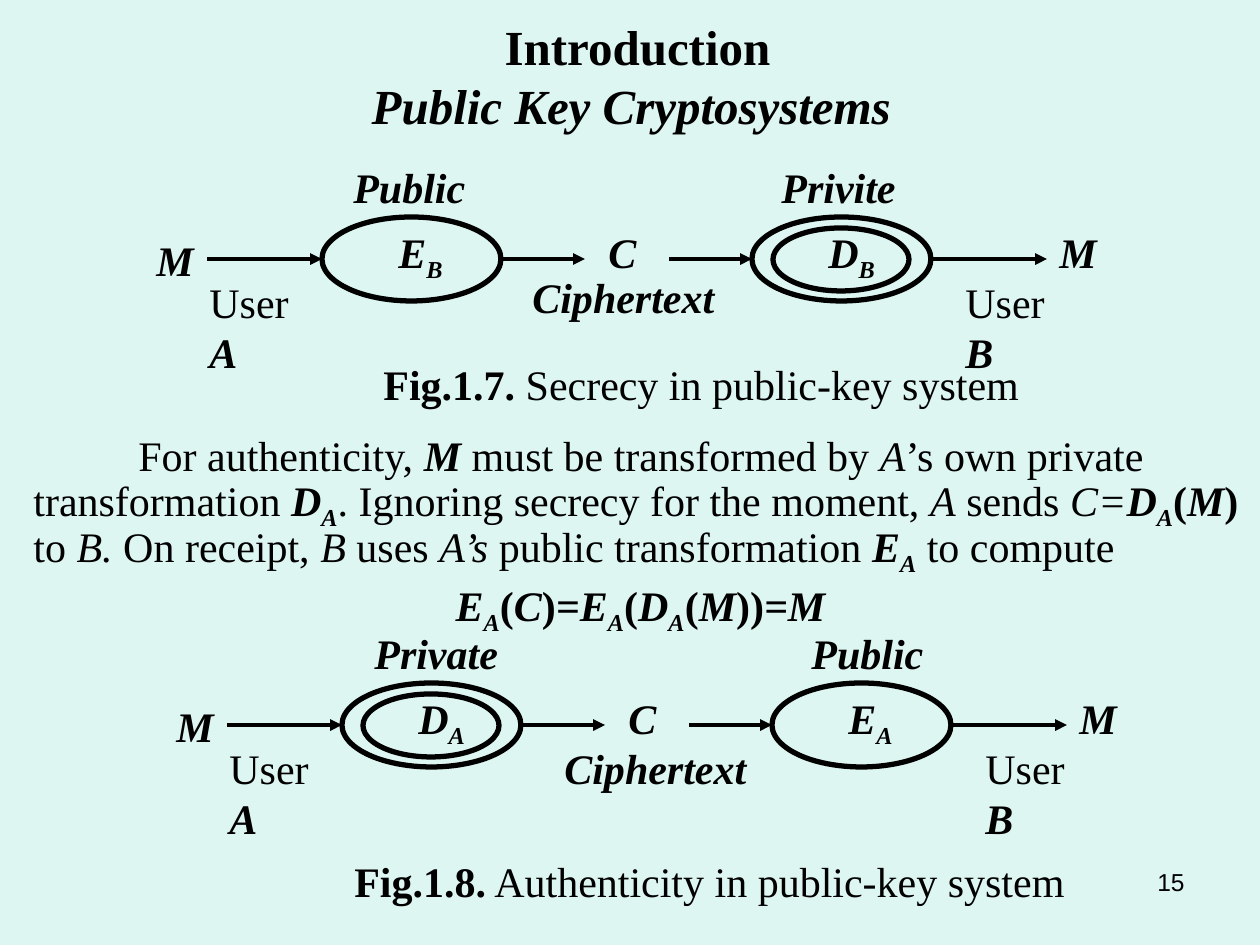
from lxml import etree
from pptx import Presentation
from pptx.dml.color import RGBColor
from pptx.enum.shapes import MSO_CONNECTOR, MSO_SHAPE
from pptx.enum.text import MSO_AUTO_SIZE, PP_ALIGN
from pptx.oxml.ns import qn
from pptx.util import Emu, Pt

OVAL = MSO_SHAPE.OVAL
STRAIGHT = MSO_CONNECTOR.STRAIGHT
GROW = MSO_AUTO_SIZE.SHAPE_TO_FIT_TEXT
FIXED = MSO_AUTO_SIZE.NONE
LEFT, CENTER, RIGHT = PP_ALIGN.LEFT, PP_ALIGN.CENTER, PP_ALIGN.RIGHT
PX_PER_INCH = 126


def px(n):
    return Emu(round(n * 914400 / PX_PER_INCH))


def color(hex_string):
    return RGBColor.from_string(hex_string)


class Canvas:
    """Style and current slide; x and y are relative to the current origin."""
    ink = "000000"
    paper = "DEF6F1"
    font = "Times New Roman"
    size = 24

    def __init__(self, slide):
        self.slide = slide
        self.shapes = slide.shapes
        self.dx = self.dy = 0
        fill = slide.background.fill
        fill.solid()
        fill.fore_color.rgb = color(self.paper)

    def start_group(self, dx, dy):
        self.shapes = self.slide.shapes.add_group_shape().shapes
        self.dx, self.dy = dx, dy

    def end_group(self):
        self.shapes = self.slide.shapes
        self.dx = self.dy = 0

    def ellipse(self, x, y, w, h):
        sp = self.shapes.add_shape(OVAL, px(x + self.dx), px(y + self.dy), px(w), px(h))
        sp.shadow.inherit = False
        sp.fill.background()
        sp.line.color.rgb = color(self.ink)
        sp.line.width = Pt(3)

    def arrow(self, x1, x2, y):
        y += self.dy
        cxn = self.shapes.add_connector(
            STRAIGHT, px(x1 + self.dx), px(y), px(x2 + self.dx), px(y))
        cxn.line.color.rgb = color(self.ink)
        cxn.line.width = Pt(2.25)
        etree.SubElement(cxn.line._get_or_add_ln(), qn("a:tailEnd"), type="triangle")
        etree.SubElement(cxn._element.spPr, qn("a:effectLst"))

    def text(self, x, y, w, h, *paragraphs, wrap=True, align=LEFT, spacing=None,
             before=0, size=None, font=None, fit=GROW):
        """Each paragraph is a list of (text, style): b bold, i italic, _ subscript."""
        sp = self.shapes.add_textbox(px(x + self.dx), px(y + self.dy), px(w), px(h))
        tf = sp.text_frame
        tf.word_wrap = wrap
        tf.auto_size = fit
        for i, runs in enumerate(paragraphs):
            p = tf.add_paragraph() if i else tf.paragraphs[0]
            p.alignment = align
            p.space_before = Pt(before)
            if spacing:
                p.line_spacing = spacing
            for words, style in runs:
                r = p.add_run()
                r.text = words
                r.font.name = font or self.font
                r.font.size = Pt(size or self.size)
                r.font.color.rgb = color(self.ink)
                r.font.bold = "b" in style
                r.font.italic = "i" in style
                if "_" in style:
                    r._r.get_or_add_rPr().set("baseline", "-25000")
        return tf

    def label(self, x, y, w, words, wrap=True):
        self.text(x, y, w, 63, [(words, "bi")], wrap=wrap)

    def caption(self, x, y, w, number, words):
        self.text(x, y, w, 50, [(number, "b"), (words, "")], wrap=False, spacing=0.75)

    def transformation(self, x, name, user, private):
        self.ellipse(x, 217, 179, 84)
        if private:
            self.ellipse(x + 21, 228, 136, 63)
        self.text(x + 64, 220, 78, 70, symbol(name, user), wrap=False)

    def cryptosystem(self, dx, dy, user, steps, cipher):
        """steps: (letter, is private, key label, label x, label width) for each ellipse."""
        self.start_group(dx, dy)
        for x, (name, private, key, key_x, key_w) in zip((322, 752), steps):
            self.transformation(x, name, user, private)
            self.label(key_x, 155, key_w, key)
        for x1, x2 in ((207, 322), (501, 585), (669, 752), (931, 1047)):
            self.arrow(x1, x2, 259)
        self.label(144, 228, 57, "M")
        self.label(596, 220, 53, "C", wrap=False)
        self.label(1047, 220, 62, "M", wrap=False)
        self.label(*cipher, "Ciphertext")
        for x, person in ((197, "A"), (953, "B")):
            self.text(x, 270, 136, 113, [("User ", ""), (person, "bi")])
        self.end_group()


def symbol(letter, sub):
    return [(letter, "bi"), (sub, "bi_")]


def main():
    prs = Presentation()
    prs.slide_width, prs.slide_height = px(1260), px(945)
    s = Canvas(prs.slides.add_slide(prs.slide_layouts[6]))

    s.cryptosystem(0, 0, "B", [("E", False, "Public", 341, 137),
                               ("D", True, "Privite", 769, 183)], (520, 265, 227))
    s.caption(371, 364, 672, "Fig.1.7.", " Secrecy in public-key system")

    s.text(359, 10, 557, 130, [("Introduction", "b")],
           [("Public Key Cryptosystems ", "bi")], wrap=False, align=CENTER, size=28)

    d_a, e_a = symbol("D", "A"), symbol("E", "A")
    authenticity = [
        ("For authenticity, ", ""), ("M", "bi"), (" must be transformed by ", ""),
        ("A", "i"), ("’s own private transformation ", ""), *d_a,
        (". Ignoring secrecy for the moment, ", ""), ("A", "i"), (" sends ", ""),
        ("C=", "i"), *d_a, ("(", "b"), ("M", "bi"), (") ", "b"), ("to", ""),
        (" B. ", "i"), ("On receipt, ", ""), ("B", "i"), (" uses ", ""), ("A’s ", "i"),
        ("public transformation ", ""), *e_a, (" to compute", "")]
    equation = [*e_a, ("(", "b"), ("C", "bi"), (")", "b"), ("=", "bi"), *e_a,
                ("(", "b"), *d_a, ("(", "b"), ("M", "bi"), ("))", "b"), ("=M", "bi")]
    tf = s.text(21, 433, 1239, 203, authenticity, equation, spacing=0.8, before=7.5)
    first, formula = tf.paragraphs
    first._p.get_or_add_pPr().set("indent", str(px(105)))
    formula.alignment = CENTER

    s.cryptosystem(20, 466, "A", [("D", True, "Private", 342, 157),
                                  ("E", False, "Public", 779, 157)], (532, 270, 217))
    s.caption(342, 861, 745, "Fig.1.8.", " Authenticity in public-key system")
    s.text(903, 861, 294, 66, [("15", "")], align=RIGHT, size=14, font="Arial", fit=FIXED)

    prs.save("out.pptx")


if __name__ == "__main__":
    main()
